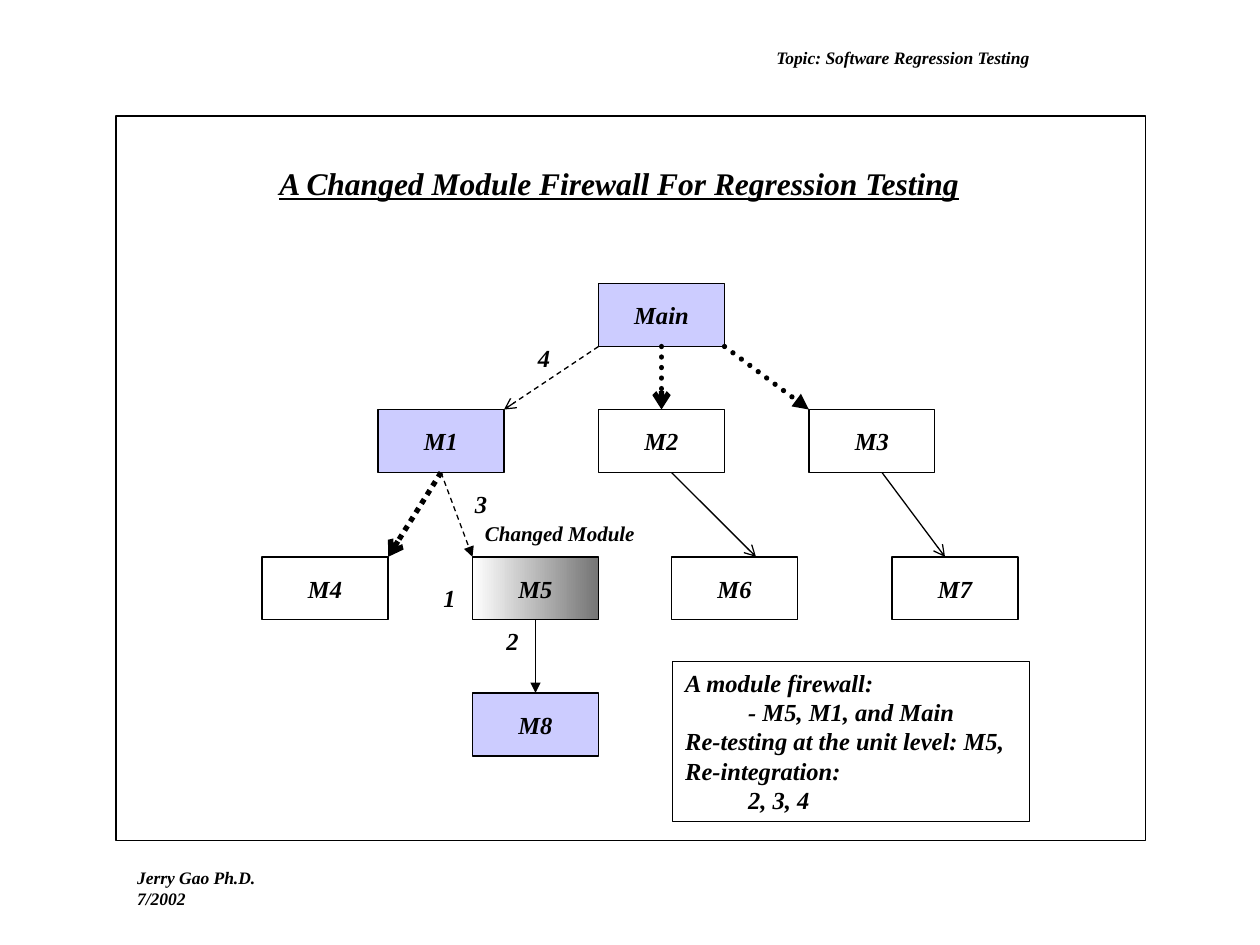
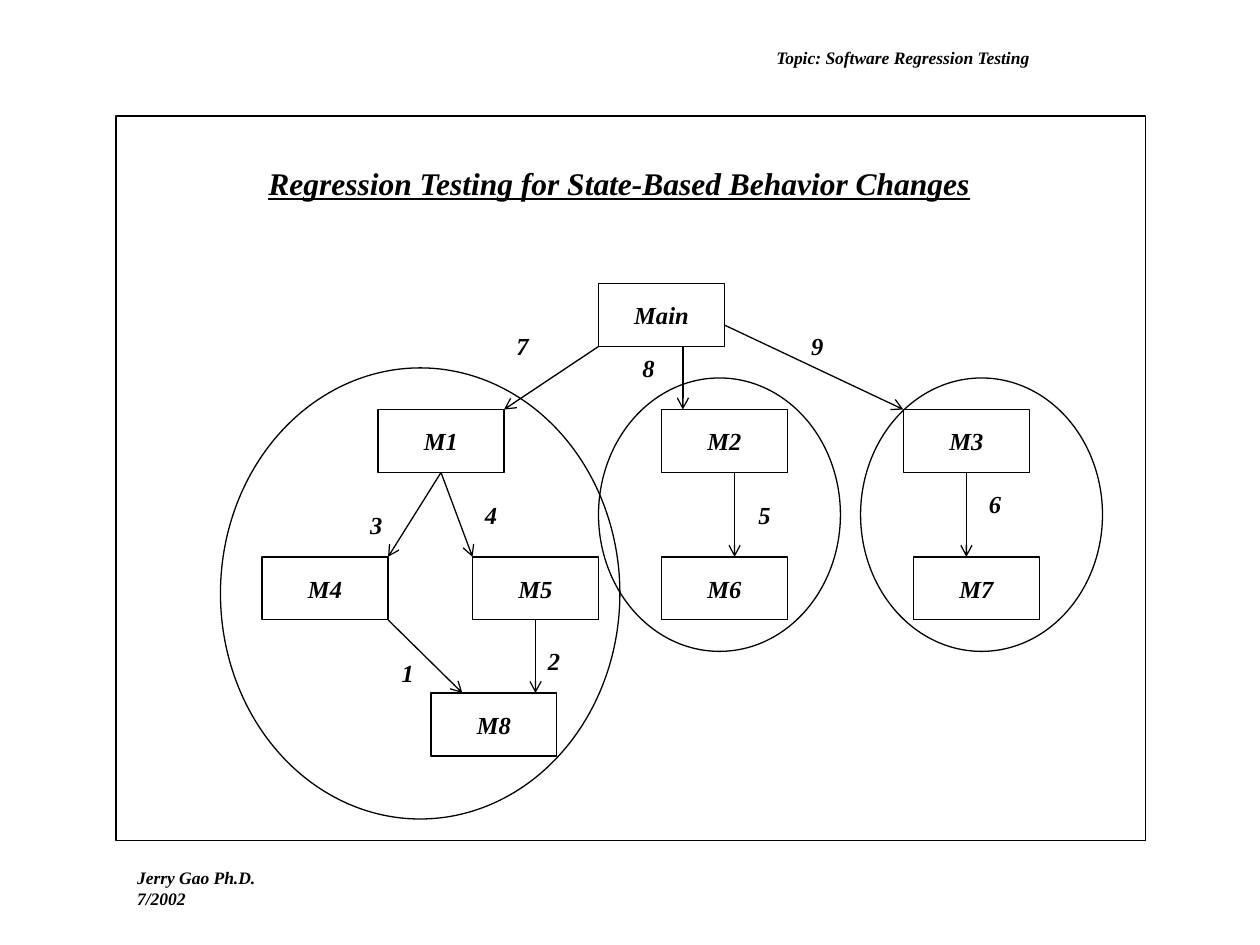
from dataclasses import dataclass

from lxml.etree import SubElement
from pptx import Presentation
from pptx.dml.color import RGBColor
from pptx.enum.dml import MSO_LINE
from pptx.enum.shapes import MSO_CONNECTOR, MSO_SHAPE
from pptx.enum.text import MSO_ANCHOR, MSO_AUTO_SIZE, PP_ALIGN
from pptx.oxml.ns import qn
from pptx.util import Inches, Pt


@dataclass(frozen=True)
class Theme:
    font: str = "Times New Roman"
    ink: RGBColor = RGBColor(0, 0, 0)
    plain: RGBColor = RGBColor(0xFF, 0xFF, 0xFF)
    firewall: RGBColor = RGBColor(0xCC, 0xCC, 0xFF)
    changed: RGBColor = RGBColor(0x75, 0x75, 0x75)
    title_size: int = 18
    module_size: int = 14
    caption_size: int = 12
    furniture_size: int = 10
    thin: float = 0.75
    thick: float = 3


MODULE_WIDTH, MODULE_HEIGHT = 1, 0.5
LEVELS = [2.25, 3.25, 4.42, 5.5]


def inches(*lengths):
    return [Inches(length) for length in lengths]


class Deck:
    def __init__(self, theme):
        self.theme = theme
        self.presentation = Presentation()
        self.presentation.slide_width, self.presentation.slide_height = inches(10, 7.5)
        self.slide = None

    def add_slide(self, title):
        """Start a slide with the shared header, footer, title and frame."""
        self.slide = self.presentation.slides.add_slide(self.presentation.slide_layouts[6])
        size = self.theme.furniture_size
        self.text("Topic: Software Regression Testing", (5.33, 0.33, 3.67, 0.25), size,
                  align=PP_ALIGN.CENTER, anchor=MSO_ANCHOR.MIDDLE, wrap=True, grow=False)
        self.text("Jerry Gao Ph.D.\t7/2002", (0.99, 6.83, 1.58, 0.27), size)
        self.text(title, (1.58, 1.25, 6.67, 0.4), self.theme.title_size,
                  align=PP_ALIGN.CENTER, wrap=True, underline=True)
        self.outline(MSO_SHAPE.RECTANGLE, (0.92, 0.92, 8.17, 5.75))

    def set_text(self, shape, text, size, align=PP_ALIGN.LEFT, anchor=MSO_ANCHOR.TOP,
                 wrap=False, grow=True, underline=False):
        frame = shape.text_frame
        frame.text = text
        frame_format = {
            "word_wrap": wrap,
            "vertical_anchor": anchor,
            "auto_size": MSO_AUTO_SIZE.SHAPE_TO_FIT_TEXT if grow else MSO_AUTO_SIZE.NONE,
        }
        for name, value in frame_format.items():
            setattr(frame, name, value)
        font_format = {"name": self.theme.font, "size": Pt(size), "bold": True,
                       "italic": True, "underline": underline}
        for paragraph in frame.paragraphs:
            paragraph.alignment = align
            for run in paragraph.runs:
                for name, value in font_format.items():
                    setattr(run.font, name, value)
                run.font.color.rgb = self.theme.ink

    def text(self, text, box, size, **options):
        self.set_text(self.slide.shapes.add_textbox(*inches(*box)), text, size, **options)

    def step(self, number, left, top):
        self.text(str(number), (left, top, 0.3, 0.34), self.theme.module_size)

    def outline(self, kind, box):
        """Add an unfilled shape with a thin line."""
        shape = self.slide.shapes.add_shape(kind, *inches(*box))
        shape.shadow.inherit = False
        shape.fill.background()
        shape.line.color.rgb = self.theme.ink
        shape.line.width = Pt(self.theme.thin)
        return shape

    def module(self, name, left, level, color=None):
        shape = self.outline(MSO_SHAPE.RECTANGLE,
                             (left, LEVELS[level], MODULE_WIDTH, MODULE_HEIGHT))
        if color == self.theme.changed:
            shape.fill.gradient()
            shape.fill.gradient_angle = 180
            for stop, stop_color in zip(shape.fill.gradient_stops, (color, self.theme.plain)):
                stop.color.rgb = stop_color
        else:
            shape.fill.solid()
            shape.fill.fore_color.rgb = color or self.theme.plain
        self.set_text(shape, name, self.theme.module_size, align=PP_ALIGN.CENTER,
                      anchor=MSO_ANCHOR.MIDDLE, grow=False)

    def call(self, level, start, end, rise=0, head="arrow", dash=None, thick=False,
             round_dots=False):
        """Draw an arrow from the foot of one level to the top of the next."""
        line = self.slide.shapes.add_connector(
            MSO_CONNECTOR.STRAIGHT,
            *inches(start, LEVELS[level] + MODULE_HEIGHT - rise, end, LEVELS[level + 1]))
        line.line.color.rgb = self.theme.ink
        line.line.width = Pt(self.theme.thick if thick else self.theme.thin)
        if dash:
            line.line.dash_style = dash
        properties = line._element.spPr.find(qn("a:ln"))
        if round_dots:
            properties.set("cap", "rnd")
        SubElement(properties, qn("a:tailEnd"), type=head)
        SubElement(line._element.spPr, qn("a:effectLst"))


def build_firewall(deck):
    theme = deck.theme
    deck.add_slide("A Changed Module Firewall For Regression Testing")
    for module in [
        ("Main", 4.75, 0, theme.firewall), ("M1", 3, 1, theme.firewall),
        ("M2", 4.75, 1), ("M3", 6.42, 1), ("M4", 2.08, 2),
        ("M5", 3.75, 2, theme.changed), ("M6", 5.33, 2), ("M7", 7.08, 2),
        ("M8", 3.75, 3, theme.firewall),
    ]:
        deck.module(*module)

    dots = {"dash": MSO_LINE.ROUND_DOT, "thick": True}
    deck.call(0, 5.25, 5.25, round_dots=True, **dots)
    deck.call(0, 5.75, 6.42, head="triangle", round_dots=True, **dots)
    deck.call(1, 3.5, 3.08, **dots)
    deck.call(0, 4.75, 4, dash=MSO_LINE.DASH)
    deck.call(1, 3.5, 3.75, head="triangle", dash=MSO_LINE.DASH)
    deck.call(2, 4.25, 4.25, head="triangle")
    deck.call(1, 5.33, 6)
    deck.call(1, 7, 7.5)

    summary = deck.outline(MSO_SHAPE.RECTANGLE, (5.34, 5.25, 2.83, 1.27))
    deck.set_text(summary, "\n".join([
        "A module firewall:",
        "\t- M5, M1, and Main",
        "Re-testing at the unit level: M5,",
        "Re-integration:",
        "\t2, 3, 4",
    ]), theme.module_size)
    for step in [(1, 3.42, 4.58), (2, 3.92, 4.92), (3, 3.67, 3.83), (4, 4.17, 2.67)]:
        deck.step(*step)
    deck.text("Changed Module", (3.75, 4.08, 1.39, 0.3), theme.caption_size)


def build_state_changes(deck):
    deck.add_slide("Regression Testing for State-Based Behavior Changes")
    for module in [
        ("Main", 4.75, 0), ("M1", 3, 1), ("M2", 5.25, 1), ("M3", 7.17, 1),
        ("M4", 2.08, 2), ("M5", 3.75, 2), ("M6", 5.25, 2), ("M7", 7.25, 2),
        ("M8", 3.42, 3),
    ]:
        deck.module(*module)
    for call in [
        (0, 4.75, 4), (0, 5.42, 5.42), (0, 5.75, 7.17, 0.17),
        (1, 3.5, 3.08), (1, 3.5, 3.75), (1, 5.83, 5.83), (1, 7.67, 7.67),
        (2, 3.08, 3.67), (2, 4.25, 4.25),
    ]:
        deck.call(*call)
    for group in [(1.75, 2.92, 3.17, 3.58), (4.75, 3, 1.92, 2.17), (6.83, 3, 1.92, 2.17)]:
        deck.outline(MSO_SHAPE.OVAL, group)
    for step in [
        (1, 3.09, 5.17), (2, 4.25, 5.08), (3, 2.84, 4), (4, 3.75, 3.92), (5, 5.92, 3.92),
        (6, 7.75, 3.83), (7, 4, 2.58), (8, 5, 2.75), (9, 6.34, 2.58),
    ]:
        deck.step(*step)


def main():
    deck = Deck(Theme())
    build_firewall(deck)
    build_state_changes(deck)
    deck.presentation.save("out.pptx")


if __name__ == "__main__":
    main()
